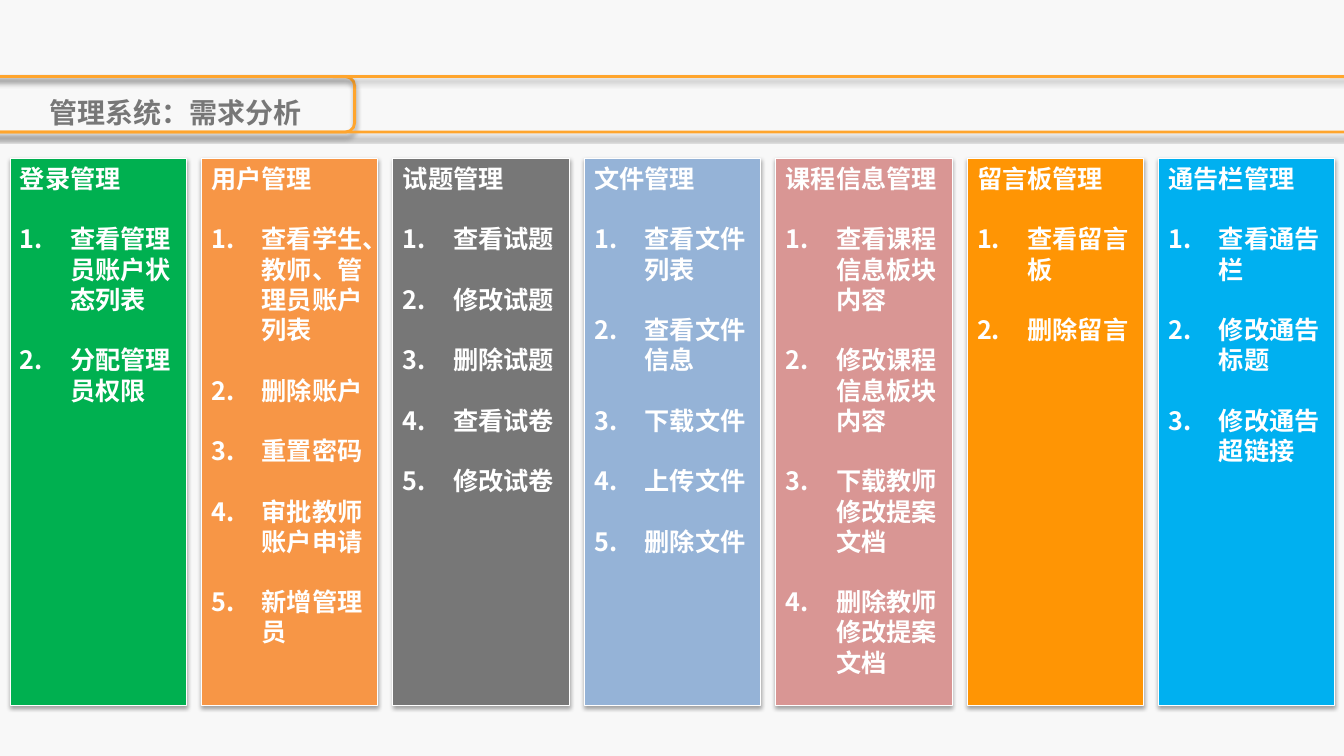
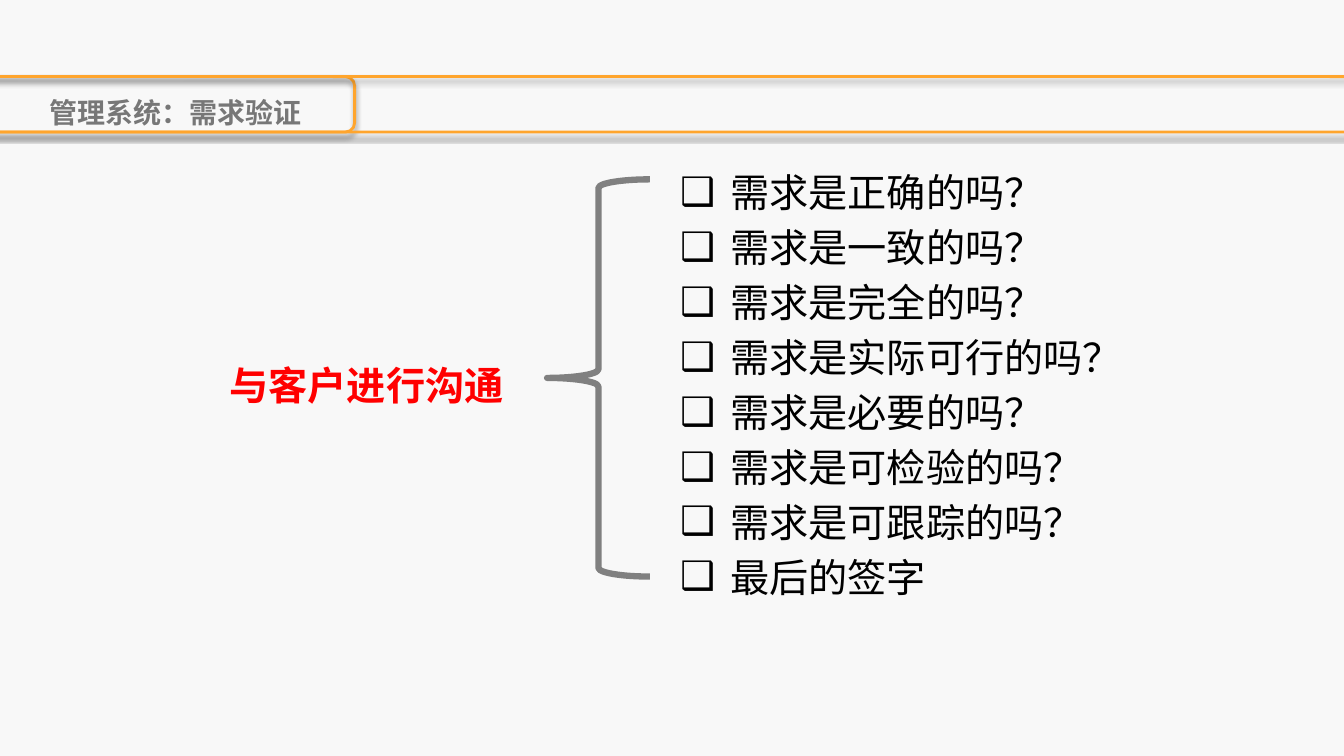
from lxml.etree import SubElement
from pptx import Presentation
from pptx.dml.color import RGBColor
from pptx.enum.shapes import MSO_SHAPE
from pptx.enum.text import MSO_ANCHOR, MSO_AUTO_SIZE, PP_ALIGN
from pptx.oxml.ns import qn
from pptx.util import Inches, Pt

FONT = "Noto Sans CJK SC"
PAPER, GRAY, ORANGE, WHITE = "F8F8F8", "777777", "FFA52D", "FFFFFF"
BRACE, RED, BLACK = "808080", "FF0000", "000000"
TITLE_LAYOUT, CONTENT_LAYOUT = 5, 1
BAND_TOP, BAND_HEIGHT = 0.76, 0.55
BANDS = [(-0.26, 3.78), (-0.18, 13.94)]
COLUMN_LEFT, COLUMN_TOP, COLUMN_PITCH = 0.1, 1.57, 1.9
COLUMN_WIDTH, COLUMN_HEIGHT = 1.75, 5.43

MODULES = [
    ("登录管理", "00B050", ["查看管理员账户状态列表", "分配管理员权限"]),
    ("用户管理", "F79646", ["查看学生、教师、管理员账户列表", "删除账户", "重置密码",
                        "审批教师账户申请", "新增管理员"]),
    ("试题管理", GRAY, ["查看试题", "修改试题", "删除试题", "查看试卷", "修改试卷"]),
    ("文件管理", "95B3D7", ["查看文件列表", "查看文件信息", "下载文件", "上传文件", "删除文件"]),
    ("课程信息管理", "D99694", ["查看课程信息板块内容", "修改课程信息板块内容",
                          "下载教师修改提案文档", "删除教师修改提案文档"]),
    ("留言板管理", "FF9504", ["查看留言板", "删除留言"]),
    ("通告栏管理", "00B0F0", ["查看通告栏", "修改通告标题", "修改通告超链接"]),
]
QUESTIONS = ["需求是正确的吗？", "需求是一致的吗？", "需求是完全的吗？", "需求是实际可行的吗？",
             "需求是必要的吗？", "需求是可检验的吗？", "需求是可跟踪的吗？", "最后的签字"]


def color(value):
    return RGBColor.from_string(value)


def place(shape, left, top, width, height):
    shape.left, shape.top = Inches(left), Inches(top)
    shape.width, shape.height = Inches(width), Inches(height)


def prepare_frame(shape, anchor=MSO_ANCHOR.TOP):
    frame = shape.text_frame
    frame.word_wrap = True
    frame.auto_size = MSO_AUTO_SIZE.NONE
    frame.vertical_anchor = anchor
    return frame


def add_bullet(para, tag, **attributes):
    properties = para._p.get_or_add_pPr()
    properties.set("marL", str(Inches(0.5)))
    properties.set("indent", str(-Inches(0.5)))
    SubElement(properties, qn(tag), attributes)


def write(frame, text, size, fill, bold=False, align=PP_ALIGN.LEFT, spacing=None,
          before=0, number=False, mark=None):
    first = not frame.paragraphs[0].runs
    para = frame.paragraphs[0] if first else frame.add_paragraph()
    para.alignment = align
    para.space_before = Pt(0 if first else before)
    if spacing:
        para.line_spacing = spacing
    if number:
        add_bullet(para, "a:buAutoNum", type="arabicPeriod")
    if mark:
        add_bullet(para, "a:buChar", char=mark)
    span = para.add_run()
    span.text = text
    span.font.size, span.font.bold, span.font.name = Pt(size), bold, FONT
    span.font.color.rgb = color(fill)
    SubElement(span.font._element, qn("a:ea"), typeface=FONT)


def add_shadow(shape, opacity, blur, distance):
    effects = shape._element.spPr.find(qn("a:effectLst"))
    shadow = SubElement(effects, qn("a:outerShdw"), blurRad=str(Pt(blur)),
                        dist=str(Pt(distance)), dir="5400000", rotWithShape="0")
    tint = SubElement(shadow, qn("a:srgbClr"), val=BLACK)
    SubElement(tint, qn("a:alpha"), val=str(opacity * 1000))


def add_figure(page, kind, box, line, weight, fill=None):
    shape = page.shapes.add_shape(kind, *map(Inches, box))
    shape.shadow.inherit = False
    if fill:
        shape.fill.solid()
        shape.fill.fore_color.rgb = color(fill)
    else:
        shape.fill.background()
    shape.line.color.rgb = color(line)
    shape.line.width = Pt(weight)
    return shape


def add_page(deck, layout, title):
    page = deck.slides.add_slide(deck.slide_layouts[layout])
    place(page.shapes.title, 0.21, BAND_TOP, 3.06, 0.6)
    frame = prepare_frame(page.shapes.title, MSO_ANCHOR.MIDDLE)
    write(frame, title, 20, GRAY, bold=True, align=PP_ALIGN.CENTER, spacing=1.3)
    for left, width in BANDS:
        band = add_figure(page, MSO_SHAPE.FLOWCHART_ALTERNATE_PROCESS,
                          (left, BAND_TOP, width, BAND_HEIGHT), ORANGE, 2)
        add_shadow(band, 40, 4, 3)
    return page


def add_column(page, box, heading, fill, tasks):
    column = add_figure(page, MSO_SHAPE.RECTANGLE, box, WHITE, 0.75, fill)
    add_shadow(column, 35, 3.1, 1.8)
    frame = prepare_frame(column)
    write(frame, heading, 18, WHITE, bold=True)
    for task in tasks:
        write(frame, task, 18, WHITE, bold=True, before=21.6, number=True)


def add_checklist(page, left, top):
    label = page.shapes.add_textbox(Inches(left), Inches(top + 1.78), Inches(3.39), Inches(1.15))
    write(prepare_frame(label), "与客户进行沟通", 28, RED, bold=True, spacing=1.3)
    add_figure(page, MSO_SHAPE.LEFT_BRACE, (left + 3.25, top + 0.16, 1.02, 3.94), BRACE, 4.5)
    body = page.placeholders[1]
    place(body, left + 4.47, top, 5.75, 4.71)
    frame = prepare_frame(body)
    for question in QUESTIONS:
        write(frame, question, 28, BLACK, before=5.6, mark="❑")


def build_analysis(deck):
    page = add_page(deck, TITLE_LAYOUT, "管理系统：需求分析")
    for index, module in enumerate(MODULES):
        left = COLUMN_LEFT + index * COLUMN_PITCH
        add_column(page, (left, COLUMN_TOP, COLUMN_WIDTH, COLUMN_HEIGHT), *module)


def build_validation(deck):
    page = add_page(deck, CONTENT_LAYOUT, "管理系统：需求验证")
    add_checklist(page, 2.18, 1.62)


def main():
    deck = Presentation()
    deck.slide_width, deck.slide_height = Inches(13.34), Inches(7.5)
    background = deck.slide_master.background.fill
    background.solid()
    background.fore_color.rgb = color(PAPER)
    build_analysis(deck)
    build_validation(deck)
    deck.save("out.pptx")


if __name__ == "__main__":
    main()
